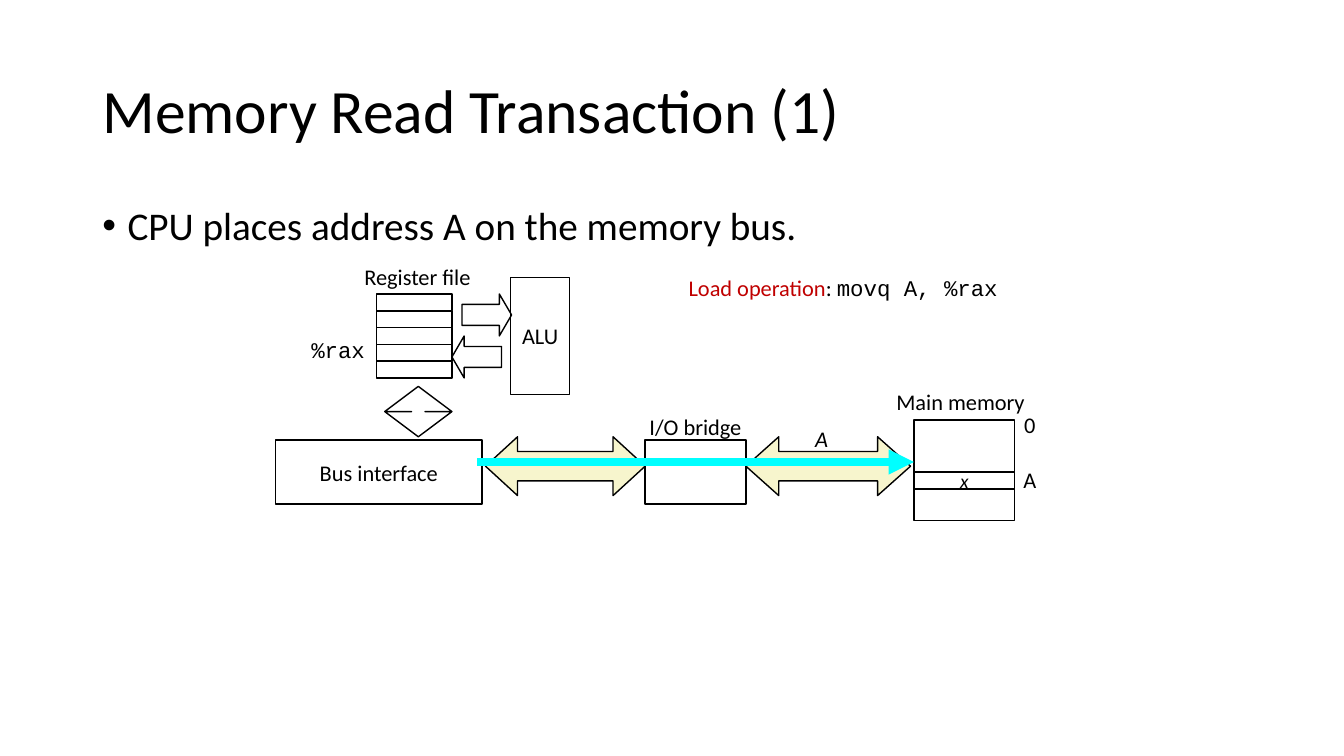
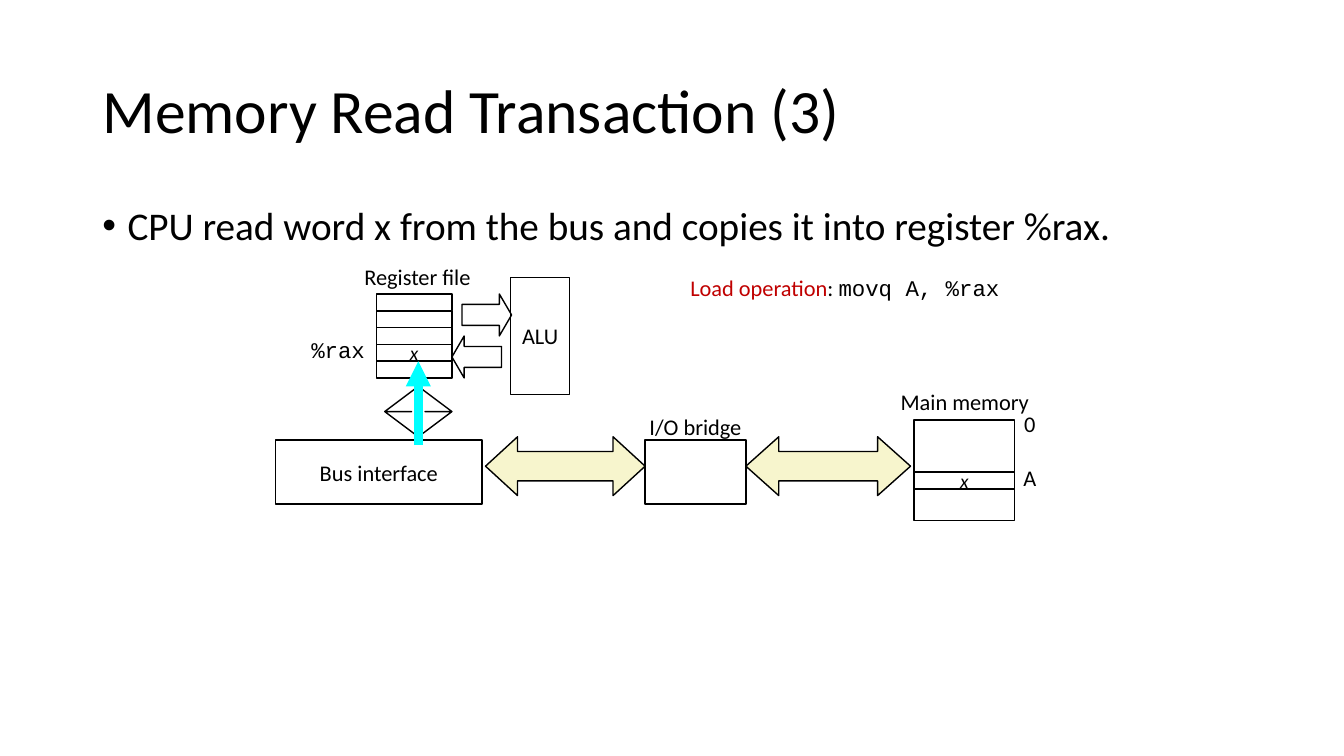
"""Build two slides that trace a memory read on a 160 by 90 grid."""
from lxml import etree
from pptx import Presentation
from pptx.dml.color import RGBColor
from pptx.enum.shapes import MSO_CONNECTOR, MSO_SHAPE
from pptx.enum.text import MSO_ANCHOR, PP_ALIGN
from pptx.oxml.ns import qn
from pptx.util import Inches, Pt

RECT = MSO_SHAPE.RECTANGLE
RIGHT = MSO_SHAPE.RIGHT_ARROW
LEFT = MSO_SHAPE.LEFT_ARROW
BOTH = MSO_SHAPE.LEFT_RIGHT_ARROW
UPDOWN = MSO_SHAPE.UP_DOWN_ARROW
STRAIGHT = MSO_CONNECTOR.STRAIGHT
START, MID = PP_ALIGN.LEFT, PP_ALIGN.CENTER
TOP, MIDDLE = MSO_ANCHOR.TOP, MSO_ANCHOR.MIDDLE

HUES = {"ink": "000000", "paper": "FFFFFF", "bus": "F7F5CD",
        "flow": "00FFFF", "load": "C00000"}
SANS, MONO = "Calibri", "Courier New"

deck = Presentation()
deck.slide_width, deck.slide_height = Inches(13.33), Inches(7.5)
COL, ROW = deck.slide_width / 160, deck.slide_height / 90


def write(shape, text, size=16, font=SANS, hue="ink", italic=False,
          align=MID, anchor=MIDDLE, wrap=False, tight=False, bullet=False):
    """Set text, given as a string or as (text, hue, font) runs."""
    frame = shape.text_frame
    frame.word_wrap, frame.vertical_anchor = wrap, anchor
    para = frame.paragraphs[0]
    para.alignment = align
    if tight:
        para.line_spacing = 0.9
    if bullet:
        props = para._p.get_or_add_pPr()
        props.set("marL", str(Inches(0.25)))
        props.set("indent", str(-Inches(0.25)))
        etree.SubElement(props, qn("a:buFont")).set("typeface", "Arial")
        etree.SubElement(props, qn("a:buChar")).set("char", "•")
    runs = [(text, hue, font)] if isinstance(text, str) else text
    for words, tint, face in runs:
        run = para.add_run()
        run.text = words
        run.font.size, run.font.name, run.font.italic = Pt(size), face, italic
        run.font.color.rgb = RGBColor.from_string(HUES[tint])


def draw(slide, box, kind=None, text=None, fill=None, adj=(), **style):
    """Add a shape, or a text box when no kind is given, on grid cells."""
    x, y, w, h = box
    place = [int(n) for n in (x * COL, y * ROW, w * COL, h * ROW)]
    if kind is None:
        shape = slide.shapes.add_textbox(*place)
    else:
        shape = slide.shapes.add_shape(kind, *place)
        shape.shadow.inherit = False
        shape.line.color.rgb = RGBColor.from_string(HUES["ink"])
        shape.line.width = Pt(1)
        if fill:
            shape.fill.solid()
            shape.fill.fore_color.rgb = RGBColor.from_string(HUES[fill])
        else:
            shape.fill.background()
        for i, share in enumerate(adj):
            shape.adjustments[i] = share
    if text:
        write(shape, text, **style)


REG_X, REG_Y, REG_W, CELL = 44.8, 35, 9, 2
MEM_X, MEM_Y, MEM_W = 108.8, 50, 12
LOAD = [("Load operation", "load", SANS), (": ", "ink", SANS),
        ("movq A, %rax", "ink", MONO)]
SHAPES = [
    ((88.8, 52, 19.6, 7), BOTH, None, "bus", (0.5, 0.56)),
    ((76.8, 52.4, 12, 7.6), RECT, None, None, ()),
    ((57.8, 52, 19, 7), BOTH, None, "bus", (0.5, 0.545)),
    ((55, REG_Y, 5.9, 5), RIGHT, None, None, (0.5, 0.292)),
    ((53.8, REG_Y + 5, 5.9, 5), LEFT, None, None, (0.5, 0.292)),
    ((60.8, 33, 7, 14), RECT, "ALU", None, ()),
    ((45.8, 46, 8, 6), UPDOWN, None, None, (0.5, 0.2)),
    ((32.8, 52.4, 24.6, 7.6), RECT, "Bus interface", "paper", ()),
    ((MEM_X, MEM_Y, MEM_W, 12), RECT, None, None, ()),
]
REGS = [((REG_X, REG_Y + i * CELL, REG_W, CELL), RECT, None, None, ())
        for i in range(5)]
LABELS = [
    ((41.9, 30.7, 15.6, 4.4), "Register file", SANS),
    ((75.9, 48.6, 13.8, 4.4), "I/O bridge", SANS),
    ((35.8, 39.4, 8.9, 4.4), "%rax", MONO),
]
SLIDES = [
    {"title": "Memory Read Transaction (1)",
     "body": "CPU places address A on the memory bus.",
     "flow": (56.8, 55, 108.8, 55), "load": 80.8, "name": 105.2,
     "marks": 48.4, "sent": "A"},
    {"title": "Memory Read Transaction (3)",
     "body": "CPU read word x from the bus and copies it into register %rax.",
     "flow": (49.8, 53, 49.8, 43), "load": 81, "name": 105.7,
     "marks": 48.2, "kept": "x"},
]

for step in SLIDES:
    page = deck.slides.add_slide(deck.slide_layouts[6])
    draw(page, (11, 4.8, 138, 17.4), text=step["title"], size=44,
         align=START, wrap=True, tight=True)
    draw(page, (11, 24, 138, 57), text=step["body"], size=28, align=START,
         anchor=TOP, wrap=True, tight=True, bullet=True)

    for box, kind, text, fill, adj in SHAPES + REGS:
        draw(page, box, kind, text, fill, adj)
    draw(page, (MEM_X, 56.2, MEM_W, CELL), RECT, "x", size=14, italic=True)
    if "kept" in step:
        draw(page, REGS[3][0], RECT, step["kept"], size=14, italic=True)

    x1, y1, x2, y2 = step["flow"]
    flow = page.shapes.add_connector(
        STRAIGHT, int(x1 * COL), int(y1 * ROW), int(x2 * COL), int(y2 * ROW))
    flow.line.color.rgb = RGBColor.from_string(HUES["flow"])
    flow.line.width = Pt(6)
    etree.SubElement(flow.line._get_or_add_ln(),
                     qn("a:tailEnd")).set("type", "triangle")
    etree.SubElement(flow._element.spPr, qn("a:effectLst"))

    for box, text, font in LABELS:
        draw(page, box, text=text, font=font)
    draw(page, (step["name"], 45.6, 18.3, 4.4), text="Main memory")
    for i, mark in enumerate("0A"):
        draw(page, (120.6, step["marks"] + i * 6.5, 4, 4.4), text=mark)
    if "sent" in step:
        draw(page, (95.8, 50, 4, 4.4), text=step["sent"], italic=True)
    draw(page, (step["load"], 32, 40, 4.4), text=LOAD, align=START, anchor=TOP)

deck.save("out.pptx")
